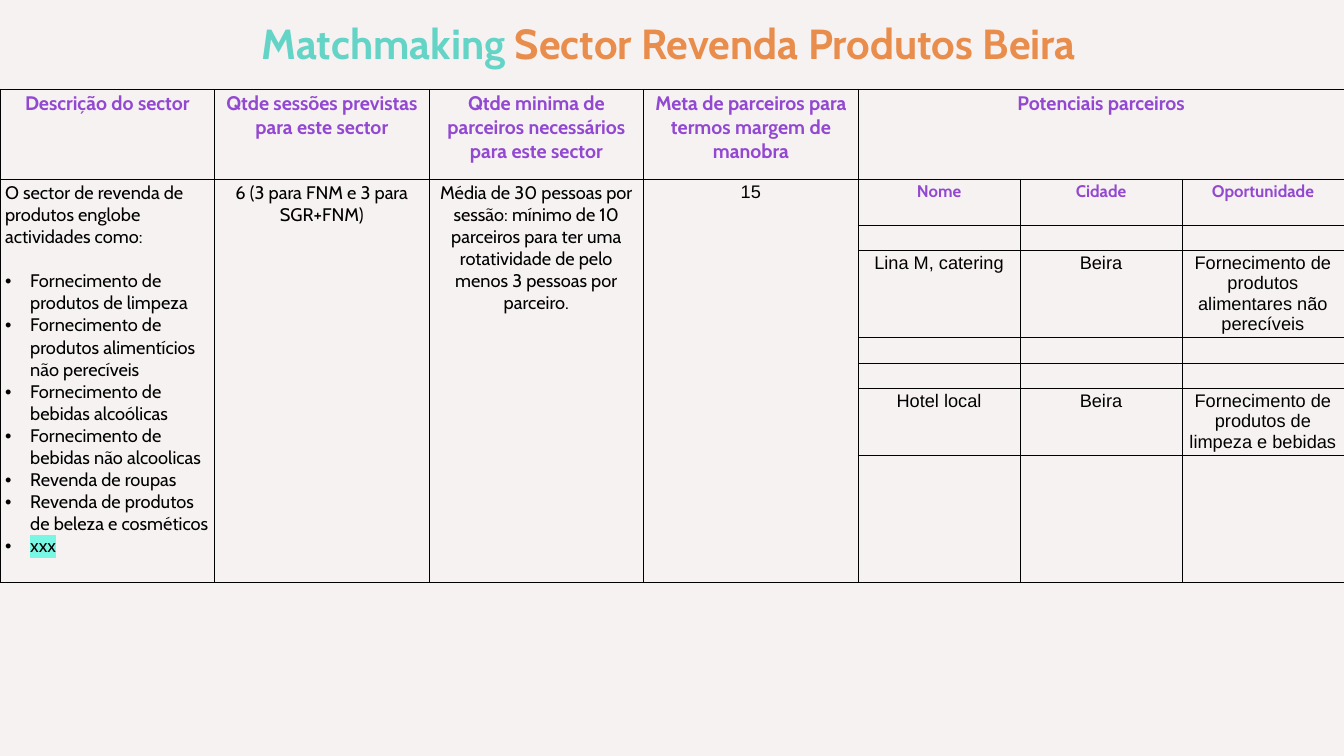
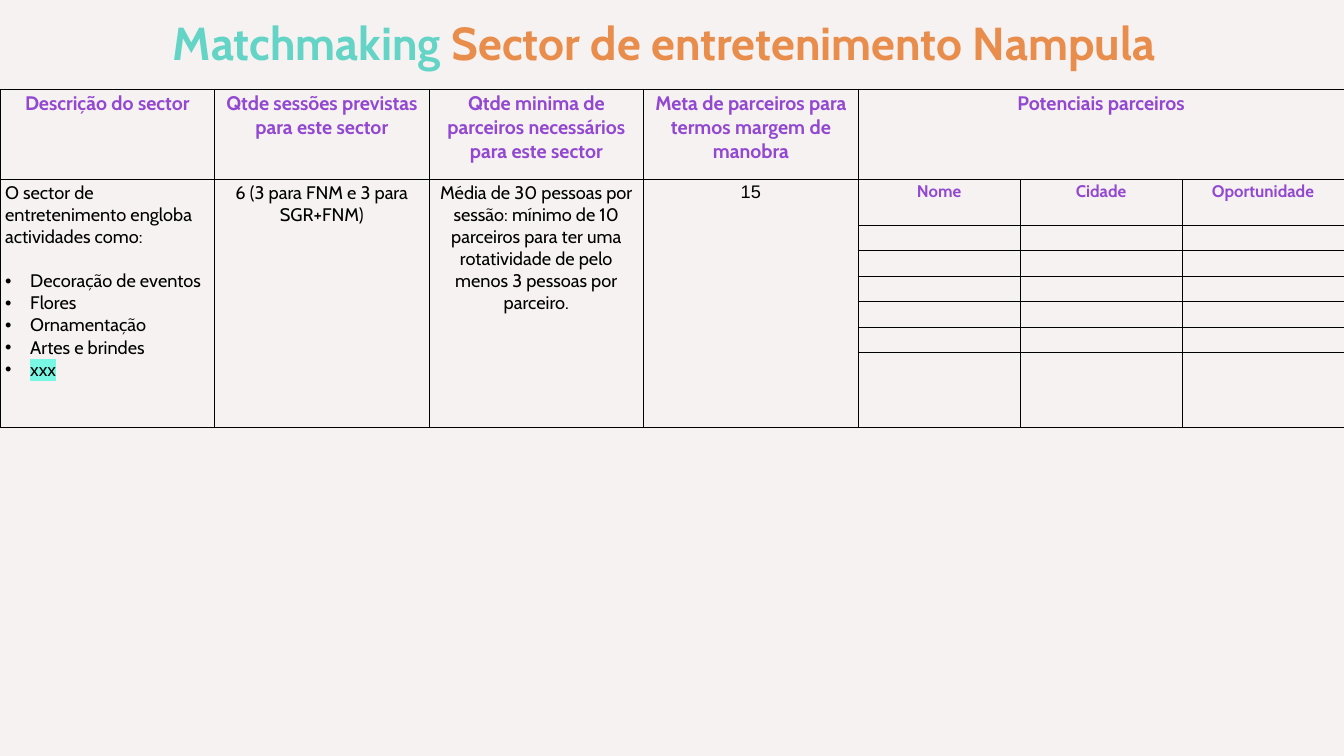
"""Build the two sector matchmaking slides."""
from dataclasses import dataclass

from lxml.etree import SubElement
from pptx import Presentation
from pptx.dml.color import RGBColor
from pptx.enum.text import MSO_ANCHOR, MSO_AUTO_SIZE, PP_ALIGN
from pptx.oxml.ns import qn
from pptx.util import Pt


@dataclass(frozen=True)
class Theme:
    background: str = "F7F2F2"
    teal: str = "63D4C6"
    orange: str = "E98D4C"
    purple: str = "9248D1"
    black: str = "000000"
    highlight: str = "79F7E5"
    heading_font: str = "Cabin"
    plain_font: str = "Arial"
    heading_size: int = 28
    body_size: int = 26
    subheading_size: int = 24


THEME = Theme()
SLIDE_WIDTH, SLIDE_HEIGHT = 1920, 1080
TITLE_TOP, TITLE_HEIGHT, TITLE_RIGHT, TITLE_INSET = 2, 117, 1925, 4.32
TABLE_TOP = 127.5
WIDE_COLUMN = 306.5
NARROW_COLUMN = (SLIDE_WIDTH - 4 * WIDE_COLUMN) / 3
HEADING_ROW, SUBHEADING_ROW, EMPTY_ROW = 128.5, 65.5, 36.5
BULLET_INDENT, BULLET_GAP = 36, 31.6

HEADINGS = [
    "Descrição do sector",
    "Qtde sessões previstas para este sector",
    "Qtde minima de parceiros necessários para este sector",
    "Meta de parceiros para termos margem de manobra",
    "Potenciais parceiros",
]
PARTNER_HEADINGS = ["Nome", "Cidade", "Oportunidade"]
SESSIONS = "6 (3 para FNM e 3 para SGR+FNM)"
MINIMUM = (
    "Média de 30 pessoas por sessão: mínimo de 10 parceiros para ter uma "
    "rotatividade de pelo menos 3 pessoas por parceiro."
)
TARGET = "15"
PENDING = "xxx"

SECTORS = [
    {
        "title": "Sector Revenda Produtos Beira",
        "title_size": 60,
        "title_left": -14.5,
        "intro": "O sector de revenda de produtos englobe actividades como:",
        "activities": [
            "Fornecimento de produtos de limpeza",
            "Fornecimento de produtos alimentícios não perecíveis",
            "Fornecimento de bebidas alcoólicas",
            "Fornecimento de bebidas não alcoolicas",
            "Revenda de roupas",
            "Revenda de produtos de beleza e cosméticos",
        ],
        "partners": {
            1: ("Lina M, catering", "Beira",
                "Fornecimento de produtos alimentares não perecíveis"),
            4: ("Hotel local", "Beira",
                "Fornecimento de produtos de limpeza e bebidas"),
        },
        "partner_rows": [EMPTY_ROW, 124, EMPTY_ROW, EMPTY_ROW, 95, 182],
    },
    {
        "title": "Sector de entretenimento Nampula",
        "title_size": 66,
        "title_left": -27.5,
        "intro": "O sector de entretenimento engloba actividades como:",
        "activities": ["Decoração de eventos", "Flores", "Ornamentação", "Artes e brindes"],
        "partners": {},
        "partner_rows": [EMPTY_ROW] * 5 + [106],
    },
]


def add_text(paragraph, text, font=THEME.heading_font, size=THEME.body_size,
             color=THEME.black, bold=False, align=PP_ALIGN.CENTER, highlight=None):
    """Add a formatted run to a paragraph."""
    paragraph.alignment = align
    run = paragraph.add_run()
    run.text = text
    run.font.size = Pt(size)
    run.font.bold = bold
    run.font.color.rgb = RGBColor.from_string(color)
    if highlight:
        mark = SubElement(run.font._element, qn("a:highlight"))
        SubElement(mark, qn("a:srgbClr"), val=highlight)
    run.font.name = font


def add_bullet(paragraph):
    """Give a paragraph a hanging bullet."""
    properties = paragraph._p.get_or_add_pPr()
    properties.set("marL", str(Pt(BULLET_INDENT)))
    properties.set("indent", str(-Pt(BULLET_INDENT)))
    SubElement(properties, qn("a:buFont"), typeface=THEME.plain_font)
    SubElement(properties, qn("a:buChar"), char="•")


def style_cell(cell):
    """Draw thin black borders around an unfilled cell."""
    properties = cell._tc.get_or_add_tcPr()
    for side in ("lnL", "lnR", "lnT", "lnB"):
        line = SubElement(properties, qn(f"a:{side}"), w=str(Pt(1)))
        fill = SubElement(line, qn("a:solidFill"))
        SubElement(fill, qn("a:srgbClr"), val=THEME.black)
    cell.fill.background()


def fill_row(table, row, first_column, texts, **text_format):
    """Write consecutive cells of one row in the same format."""
    for column, text in enumerate(texts, first_column):
        add_text(table.cell(row, column).text_frame.paragraphs[0], text, **text_format)


def add_title(slide, sector):
    """Write the two-colour title."""
    title = slide.shapes.title
    left = sector["title_left"]
    title.left, title.top = Pt(left), Pt(TITLE_TOP)
    title.width, title.height = Pt(TITLE_RIGHT - left), Pt(TITLE_HEIGHT)
    frame = title.text_frame
    frame.word_wrap = True
    frame.auto_size = MSO_AUTO_SIZE.NONE
    frame.vertical_anchor = MSO_ANCHOR.MIDDLE
    frame.margin_left = frame.margin_right = Pt(TITLE_INSET)
    frame.margin_top = frame.margin_bottom = Pt(TITLE_INSET)
    for text, color in (("Matchmaking ", THEME.teal), (sector["title"], THEME.orange)):
        add_text(frame.paragraphs[0], text, size=sector["title_size"], color=color, bold=True)


def add_description(cell, sector):
    """Write the sector introduction and its bulleted activities."""
    frame = cell.text_frame
    add_text(frame.paragraphs[0], sector["intro"], align=PP_ALIGN.LEFT)
    for index, activity in enumerate(sector["activities"] + [PENDING]):
        paragraph = frame.add_paragraph()
        add_bullet(paragraph)
        if index == 0:
            paragraph.space_before = Pt(BULLET_GAP)
        add_text(paragraph, activity, align=PP_ALIGN.LEFT,
                 highlight=THEME.highlight if activity == PENDING else None)


def add_sector_table(slide, sector):
    """Add the sector summary with its list of partners."""
    widths = [WIDE_COLUMN] * 4 + [NARROW_COLUMN] * 3
    heights = [HEADING_ROW, SUBHEADING_ROW] + sector["partner_rows"]
    table = slide.shapes.add_table(
        len(heights), len(widths), Pt(0), Pt(TABLE_TOP), Pt(SLIDE_WIDTH), Pt(sum(heights))
    ).table
    table.first_row = table.horz_banding = False
    for column, width in zip(table.columns, widths):
        column.width = Pt(width)
    for row, height in zip(table.rows, heights):
        row.height = Pt(height)
    for cell in table.iter_cells():
        style_cell(cell)
    table.cell(0, 4).merge(table.cell(0, 6))
    for column in range(4):
        table.cell(1, column).merge(table.cell(len(heights) - 1, column))

    fill_row(table, 0, 0, HEADINGS, size=THEME.heading_size, color=THEME.purple, bold=True)
    add_description(table.cell(1, 0), sector)
    fill_row(table, 1, 1, [SESSIONS, MINIMUM])
    fill_row(table, 1, 3, [TARGET], font=THEME.plain_font)
    fill_row(table, 1, 4, PARTNER_HEADINGS, size=THEME.subheading_size,
             color=THEME.purple, bold=True)
    for index, partner in sector["partners"].items():
        fill_row(table, index + 2, 4, partner, font=THEME.plain_font)


def main():
    """Create and save the presentation."""
    presentation = Presentation()
    presentation.slide_width, presentation.slide_height = Pt(SLIDE_WIDTH), Pt(SLIDE_HEIGHT)
    background = presentation.slide_master.background.fill
    background.solid()
    background.fore_color.rgb = RGBColor.from_string(THEME.background)
    for sector in SECTORS:
        slide = presentation.slides.add_slide(presentation.slide_layouts[5])
        add_title(slide, sector)
        add_sector_table(slide, sector)
    presentation.save("out.pptx")


if __name__ == "__main__":
    main()
